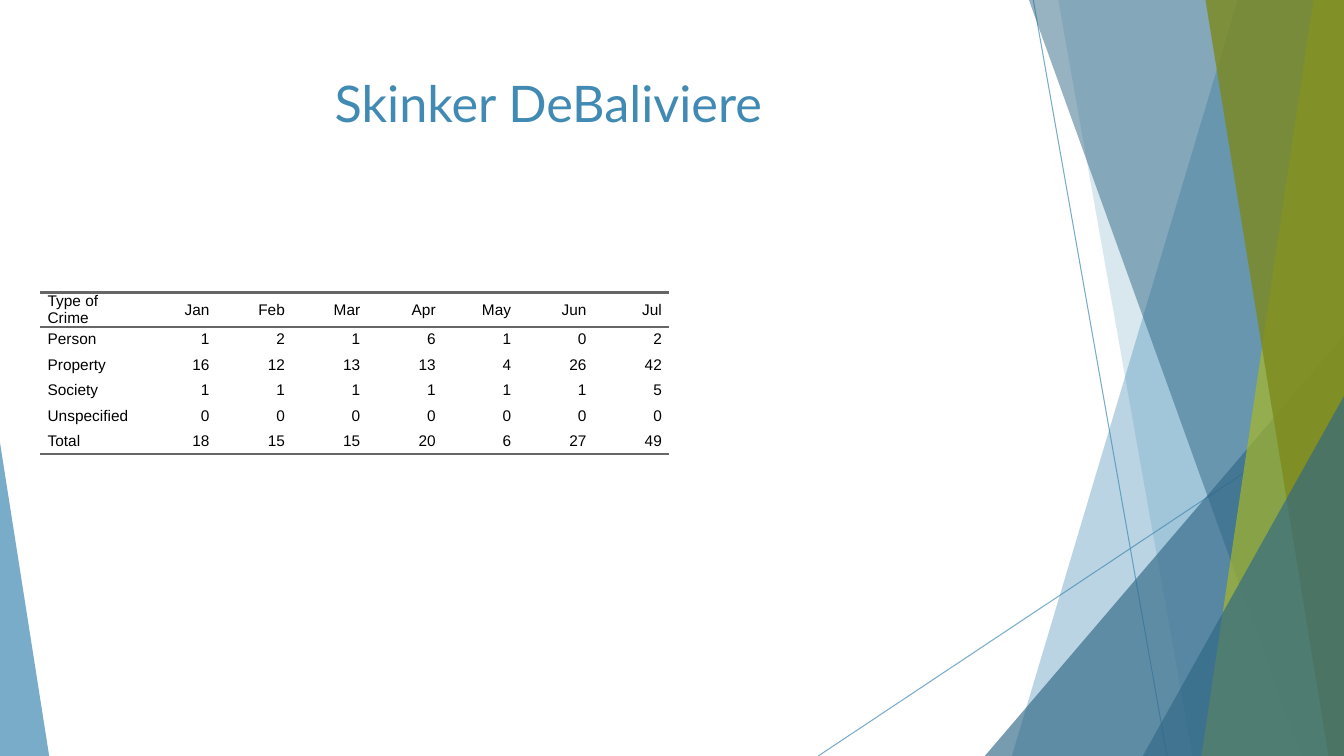
import pptx
import pptx.dml.color
import pptx.enum.shapes
import pptx.enum.text
import pptx.oxml.ns
import pptx.util
from lxml import etree

Cm = pptx.util.Cm
RGBColor = pptx.dml.color.RGBColor
ALIGN = pptx.enum.text.PP_ALIGN
ANCHOR = pptx.enum.text.MSO_ANCHOR
qn = pptx.oxml.ns.qn

BLUE = RGBColor(0x41, 0x8A, 0xB3)
DARK_BLUE = RGBColor(0x31, 0x68, 0x86)
LIME = RGBColor(0xA6, 0xB7, 0x27)
OLIVE = RGBColor(0x7D, 0x89, 0x1D)
GREY = RGBColor(0x66, 0x66, 0x66)
BLACK = RGBColor(0, 0, 0)

WIDTH, HEIGHT = 33.87, 19.05
PLAIN_TABLE_STYLE = "{2D5ABB26-0587-4C30-8999-92F81FD0307C}"

CRIMES = [
    ("Type of Crime", "Jan", "Feb", "Mar", "Apr", "May", "Jun", "Jul"),
    ("Person", 1, 2, 1, 6, 1, 0, 2),
    ("Property", 16, 12, 13, 13, 4, 26, 42),
    ("Society", 1, 1, 1, 1, 1, 1, 5),
    ("Unspecified", 0, 0, 0, 0, 0, 0, 0),
    ("Total", 18, 15, 15, 20, 6, 27, 49),
]


def write_text(frame, text, font, size, color, align=ALIGN.LEFT, anchor=ANCHOR.TOP):
    frame.word_wrap = True
    frame.vertical_anchor = anchor
    paragraph = frame.paragraphs[0]
    paragraph.text = text
    paragraph.alignment = align
    paragraph.font.name = font
    paragraph.font.size = pptx.util.Pt(size)
    paragraph.font.color.rgb = color


def set_opacity(color_format, color, percent):
    color_format.rgb = color
    for element in color_format._xFill.iter(qn("a:srgbClr")):
        etree.SubElement(element, qn("a:alpha"), val=str(percent * 1000))


class CrimeSlide:
    title_font = "Lato"
    table_font = "Arial"

    def __init__(self, presentation):
        self.slide = presentation.slides.add_slide(presentation.slide_layouts[5])
        self.shapes = self.slide.shapes

    def title(self, text, left, top, width, height):
        shape = self.shapes.title
        shape.left, shape.top = Cm(left), Cm(top)
        shape.width, shape.height = Cm(width), Cm(height)
        write_text(shape.text_frame, text, self.title_font, 36, BLUE, ALIGN.CENTER)

    def line(self, x1, y1, x2, y2):
        connector = self.shapes.add_connector(
            pptx.enum.shapes.MSO_CONNECTOR.STRAIGHT, Cm(x1), Cm(y1), Cm(x2), Cm(y2))
        connector.line.width = pptx.util.Pt(0.75)
        connector.line.fill.solid()
        set_opacity(connector.line.fill.fore_color, BLUE, 70)
        etree.SubElement(connector._element.spPr, qn("a:effectLst"))

    def paint(self, shape, color, opacity):
        shape.shadow.inherit = False
        shape.line.fill.background()
        shape.fill.solid()
        set_opacity(shape.fill.fore_color, color, opacity)

    def band(self, top_left, bottom_left, color, opacity):
        """A full-height band from a slanted left edge to the slide's right edge."""
        builder = self.shapes.build_freeform(Cm(top_left), 0)
        corners = [(WIDTH, 0), (WIDTH, HEIGHT), (bottom_left, HEIGHT)]
        builder.add_line_segments([(Cm(x), Cm(y)) for x, y in corners], close=True)
        self.paint(builder.convert_to_shape(), color, opacity)

    def corner(self, left, width, height, tip, color, opacity):
        """A triangle standing on the bottom edge of the slide."""
        shape = self.shapes.add_shape(
            pptx.enum.shapes.MSO_SHAPE.ISOSCELES_TRIANGLE,
            Cm(left), Cm(HEIGHT - height), Cm(width), Cm(height))
        shape.adjustments[0] = tip
        self.paint(shape, color, opacity)

    def cell_rule(self, cell, tag):
        properties = cell._tc.get_or_add_tcPr()
        rule = etree.SubElement(properties, qn(tag), w=str(pptx.util.Pt(2)))
        fill = etree.SubElement(rule, qn("a:solidFill"))
        etree.SubElement(fill, qn("a:srgbClr"), val=str(GREY))

    def table(self, rows, left, top, label_width, month_width, row_height):
        months = len(rows[0]) - 1
        table = self.shapes.add_table(
            len(rows), months + 1, Cm(left), Cm(top),
            Cm(label_width + months * month_width), Cm(row_height * len(rows))).table
        table.first_row = table.horz_banding = False
        table._tbl.tblPr.find(qn("a:tableStyleId")).text = PLAIN_TABLE_STYLE
        for index, column in enumerate(table.columns):
            column.width = Cm(month_width if index else label_width)
        for row_index, values in enumerate(rows):
            table.rows[row_index].height = Cm(row_height)
            for column_index, value in enumerate(values):
                cell = table.cell(row_index, column_index)
                cell.margin_left = cell.margin_right = Cm(0.18)
                cell.margin_top = cell.margin_bottom = 0
                cell.vertical_anchor = ANCHOR.MIDDLE
                write_text(cell.text_frame, str(value), self.table_font, 11, BLACK,
                           ALIGN.RIGHT if column_index else ALIGN.LEFT, ANCHOR.MIDDLE)
                if row_index == 0:
                    self.cell_rule(cell, "a:lnT")
                if row_index in (0, len(rows) - 1):
                    self.cell_rule(cell, "a:lnB")
                cell.fill.background()


def main():
    presentation = pptx.Presentation()
    presentation.slide_width, presentation.slide_height = Cm(WIDTH), Cm(HEIGHT)
    page = CrimeSlide(presentation)

    # Decoration, from back to front
    page.line(26.04, 0, 29.41, HEIGHT)
    page.line(WIDTH, 10.24, 20.62, HEIGHT)
    page.band(31.19, 25.5, BLUE, 36)
    page.band(26.67, 30.05, BLUE, 20)
    page.corner(24.82, 9.05, 10.59, 1, DARK_BLUE, 66)
    page.band(25.93, 32.79, DARK_BLUE, 50)
    page.band(33.1, 30.28, LIME, 70)
    page.band(30.38, 33.48, OLIVE, 80)
    page.corner(28.8, 5.07, 9.07, 1, DARK_BLUE, 66)
    page.corner(0, 1.24, 7.9, 0, BLUE, 70)

    # Title and monthly crime counts
    page.title("Skinker DeBaliviere", 1.88, 1.7, 23.88, 3.66)
    page.table(CRIMES, 1.02, 7.37, 2.54, 1.9, 0.64)

    presentation.save("out.pptx")


if __name__ == "__main__":
    main()
